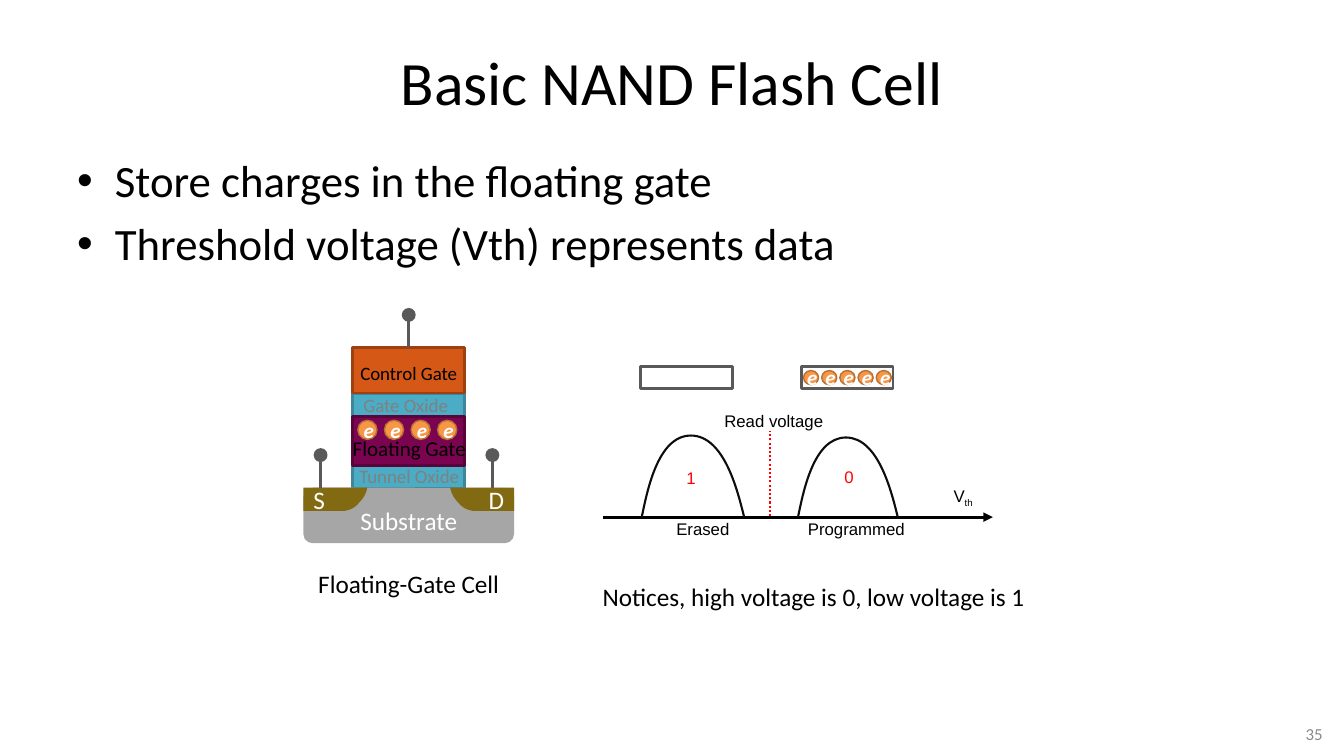
from dataclasses import dataclass

from lxml.etree import SubElement
from pptx import Presentation
from pptx.dml.color import RGBColor
from pptx.enum.dml import MSO_LINE
from pptx.enum.shapes import MSO_CONNECTOR, MSO_SHAPE
from pptx.enum.text import MSO_ANCHOR, MSO_AUTO_SIZE, PP_ALIGN
from pptx.oxml.ns import qn
from pptx.util import Pt


@dataclass(frozen=True)
class Theme:
    black: str = "000000"
    white: str = "FFFFFF"
    red: str = "FF0000"
    page_gray: str = "898989"
    label_gray: str = "808080"
    terminal: str = "595959"
    curve: str = "0D0D0D"
    substrate: str = "A6A6A6"
    well: str = "826A12"
    oxide: tuple = ("4BACC6", "3F869A")
    floating_gate: tuple = ("7A0450", "5A033B")
    control_gate: tuple = ("D55816", "9E4110")
    electron: tuple = ("F79646", "B76F34")
    body_font: str = "Calibri"
    plot_font: str = "Arial"
    title_size: float = 44
    body_size: float = 32
    caption_size: float = 18
    gate_size: float = 15
    layer_size: float = 13.5
    small_size: float = 12


THEME = Theme()
LABEL_FRAME = {"word_wrap": False, "auto_size": MSO_AUTO_SIZE.SHAPE_TO_FIT_TEXT}
ELECTRON_FRAME = {"margin_left": Pt(2), "margin_right": 0, "margin_top": 0, "margin_bottom": 0,
                  "word_wrap": False, "vertical_anchor": MSO_ANCHOR.MIDDLE}


def set_values(target, values):
    for name, value in values.items():
        setattr(target, name, value)


def lengths(*points):
    return [Pt(point) for point in points]


def write(shape, text, size, color=THEME.black, font=THEME.body_font,
          frame=None, paragraph=None, style=None):
    """Fill a shape with one paragraph per line of text."""
    text_frame = shape.text_frame
    set_values(text_frame, frame or {})
    text_frame.text = text
    for line in text_frame.paragraphs:
        set_values(line, paragraph or {})
        for run in line.runs:
            set_values(run.font, {"name": font, "size": Pt(size), **(style or {})})
            run.font.color.rgb = RGBColor.from_string(color)


def add_label(shapes, box, text, size, color=THEME.black, font=THEME.body_font,
              align=PP_ALIGN.LEFT, frame=None, **paragraph):
    label = shapes.add_textbox(*lengths(*box))
    write(label, text, size, color, font, frame or LABEL_FRAME,
          {"alignment": align, **paragraph})
    return label


def paint(shape, fill=None, line=None, width=2):
    shape.shadow.inherit = False
    if fill:
        shape.fill.solid()
        shape.fill.fore_color.rgb = RGBColor.from_string(fill)
    else:
        shape.fill.background()
    if line:
        shape.line.color.rgb = RGBColor.from_string(line)
        shape.line.width = Pt(width)
    else:
        shape.line.fill.background()


def add_block(shapes, kind, box, fill=None, line=None, width=2):
    block = shapes.add_shape(kind, *lengths(*box))
    paint(block, fill, line, width)
    return block


def add_line(shapes, start, end, color, width=2.25):
    line = shapes.add_connector(MSO_CONNECTOR.STRAIGHT, *lengths(*start, *end))
    line.line.color.rgb = RGBColor.from_string(color)
    line.line.width = Pt(width)
    SubElement(line._element.spPr, qn("a:effectLst"))
    return line


def add_outline(shapes, left, top, points, straight, close):
    """Draw straight sides first, then cubic curves of three points each."""
    corners = [(Pt(left + x), Pt(top + y)) for x, y in points]
    builder = shapes.build_freeform(*corners[0])
    builder.add_line_segments(corners[1:], close=close)
    outline = builder.convert_to_shape()
    segments = list(outline._element.iter(qn("a:lnTo")))[straight:]
    for first, second, end in zip(segments[::3], segments[1::3], segments[2::3]):
        curve = SubElement(first.getparent(), qn("a:cubicBezTo"))
        first.addprevious(curve)
        for segment in (first, second, end):
            curve.append(segment[0])
            segment.getparent().remove(segment)
    return outline


def add_electrons(shapes, left, top, width, height, pitch, count):
    for index in range(count):
        electron = add_block(shapes, MSO_SHAPE.OVAL, (left + index * pitch, top, width, height),
                             *THEME.electron, width=1)
        write(electron, "e", THEME.gate_size, THEME.white, frame=ELECTRON_FRAME,
              paragraph={"alignment": PP_ALIGN.CENTER}, style={"bold": True, "italic": True})


def add_title(slide, left, top, width, height):
    title = slide.shapes.title
    set_values(title, dict(zip(("left", "top", "width", "height"),
                               lengths(left, top, width, height))))
    write(title, "Basic NAND Flash Cell", THEME.title_size,
          frame={"vertical_anchor": MSO_ANCHOR.MIDDLE},
          paragraph={"alignment": PP_ALIGN.CENTER})


def add_bullets(slide, left, top, width, height):
    body = add_label(slide.shapes, (left, top, width, height),
                     "Store charges in the floating gate\nThreshold voltage (Vth) represents data",
                     THEME.body_size, frame={"word_wrap": True}, space_before=Pt(6.4))
    for paragraph in body.text_frame.paragraphs:
        properties = paragraph._p.get_or_add_pPr()
        properties.set("marL", str(Pt(27)))
        properties.set("indent", str(-Pt(27)))
        SubElement(properties, qn("a:buFont"), typeface=THEME.plot_font)
        SubElement(properties, qn("a:buChar"), char="•")


def add_cell(slide, left, top, width):
    """Draw the floating-gate transistor with its terminals and caption."""
    shapes = slide.shapes.add_group_shape().shapes
    center, gate_width, surface = left + width / 2, 80, top + 127.4
    gate_left = center - gate_width / 2

    def add_layer(offset, height, colors):
        return add_block(shapes, MSO_SHAPE.RECTANGLE,
                         (gate_left, top + offset, gate_width, height), *colors)

    add_layer(59.8, 68.4, THEME.oxide)
    substrate = add_block(shapes, MSO_SHAPE.ROUNDED_RECTANGLE,
                          (left, surface, width, 39.6), THEME.substrate)
    write(substrate, "Substrate", THEME.caption_size, THEME.white,
          frame={"vertical_anchor": MSO_ANCHOR.BOTTOM}, paragraph={"alignment": PP_ALIGN.CENTER})
    add_layer(76.3, 35.3, THEME.floating_gate)

    well = [(45.6, 0), (0, 0), (0, 16.6), (28.8, 16.6),
            (35.3, 15.8), (38.9, 12.2), (39.6, 10.8),
            (39.6, 10.8), (44.6, 6.5), (45.6, 0)]
    drain = [(width - x, y) for x, y in well]
    for name, points, align in (("D", drain, PP_ALIGN.RIGHT), ("S", well, PP_ALIGN.LEFT)):
        region = add_outline(shapes, left, surface, points, 3, True)
        paint(region, THEME.well)
        write(region, name, THEME.caption_size, THEME.white,
              frame={"vertical_anchor": MSO_ANCHOR.MIDDLE}, paragraph={"alignment": align})

    control_gate = add_layer(27.4, 32.4, THEME.control_gate)
    for text, x, y, label_width, height, size, color, spacing in (
            ("Floating Gate", 27.4, 86.4, 96.5, 25.2, THEME.gate_size, THEME.black, None),
            ("Gate Oxide", 27.4, 56.9, 91.4, 23.8, THEME.layer_size, THEME.label_gray, None),
            ("Tunnel Oxide", 31.7, 107.3, 87.8, 23.8, THEME.layer_size, THEME.label_gray, None),
            ("Control Gate", 32.4, 34.6, 85.7, 22.3, THEME.layer_size, THEME.black, Pt(15)),
            ("Floating-Gate Cell", 2.2, 181.4, 146.2, 28.8, THEME.caption_size, THEME.black, None)):
        add_label(shapes, (left + x, top + y, label_width, height), text, size, color,
                  align=PP_ALIGN.CENTER, line_spacing=spacing)
    add_electrons(shapes, left + 38.9, top + 79.2, 13.7, 13.7, 19, 4)

    dot = 7.9
    for x, base, dot_top, gate in ((center, top + 27.4, top, control_gate),
                                   (left + width - 15.5, surface, top + 100.1, None),
                                   (left + 12.3, surface, top + 100.1, None)):
        stem = add_line(shapes, (x, base), (x, dot_top + dot), THEME.terminal)
        if gate:
            stem.begin_connect(gate, 0)
        add_block(shapes, MSO_SHAPE.OVAL, (x - dot / 2, dot_top, dot, dot),
                  THEME.terminal, THEME.terminal)


def add_threshold_plot(slide, left, top, width):
    """Draw the two voltage distributions with their gates and the note."""
    shapes = slide.shapes.add_group_shape().shapes
    base = 107.3
    axis = add_line(shapes, (left, top + base), (left + width, top + base), THEME.black)
    SubElement(axis.line._get_or_add_ln(), qn("a:tailEnd"), type="triangle")

    for text, x, y, label_width, color in (
            ("Read voltage", 79.7, 27.4, 85.7, THEME.black),
            ("Erased", 45.4, 105.1, 52.6, THEME.black),
            ("Programmed", 139.4, 105.1, 84.2, THEME.black),
            ("1", 52.6, 68.8, 20.9, THEME.red),
            ("0", 165.4, 67.7, 20.9, THEME.red)):
        add_label(shapes, (left + x, top + y, label_width, 21.6), text,
                  THEME.small_size, color, THEME.plot_font)
    voltage = add_label(shapes, (left + 243.4, top + 81.4, 29.5, 21.6), "V",
                        THEME.small_size, font=THEME.plot_font)
    subscript = voltage.text_frame.paragraphs[0].add_run()
    subscript.text = "th"
    set_values(subscript.font, {"name": THEME.plot_font, "size": Pt(THEME.small_size)})
    subscript.font.color.rgb = RGBColor.from_string(THEME.black)
    subscript._r.get_or_add_rPr().set("baseline", "-25000")

    bell = [(1, 1), (0.94, 0.7), (0.81, 0), (0.48, 0), (0.15, 0), (0.05, 0.71), (0, 1)]
    for x, bell_width, peak in ((139.4, 71.3, 50.4), (27.8, 73.2, 49)):
        points = [(u * bell_width, v * (base - peak)) for u, v in bell]
        curve = add_outline(shapes, left + x, top + peak, points, 0, False)
        paint(curve, line=THEME.curve, width=1.5)

    read_line = add_line(shapes, (left + 119.5, top + 106.6), (left + 119.5, top + 46.1),
                         THEME.red, 1.5)
    read_line.line.dash_style = MSO_LINE.ROUND_DOT
    add_electrons(shapes, left + 143.3, top + 2.6, 10.8, 10.1, 13, 5)
    for x in (141.8, 27):
        add_block(shapes, MSO_SHAPE.RECTANGLE, (left + x, top - 0.3, 65.5, 15.8),
                  line=THEME.terminal)
    add_label(slide.shapes, (left - 7.2, top + 149.8, 319.7, 28.8),
              "Notices, high voltage is 0, low voltage is 1", THEME.caption_size)


def main():
    presentation = Presentation()
    set_values(presentation, {"slide_width": Pt(960), "slide_height": Pt(540)})
    slide = presentation.slides.add_slide(presentation.slide_layouts.get_by_name("Title Only"))
    add_title(slide, 48, 21.6, 864, 72.7)
    add_bullets(slide, 48, 105.8, 864, 396.7)
    add_label(slide.shapes, (848.9, 514, 103, 20.9), "35", THEME.small_size, THEME.page_gray,
              align=PP_ALIGN.RIGHT, frame={"word_wrap": True, "vertical_anchor": MSO_ANCHOR.MIDDLE})
    add_cell(slide, 216.7, 221, 150.5)
    add_threshold_plot(slide, 430.6, 262.1, 278.6)
    presentation.save("out.pptx")


if __name__ == "__main__":
    main()
